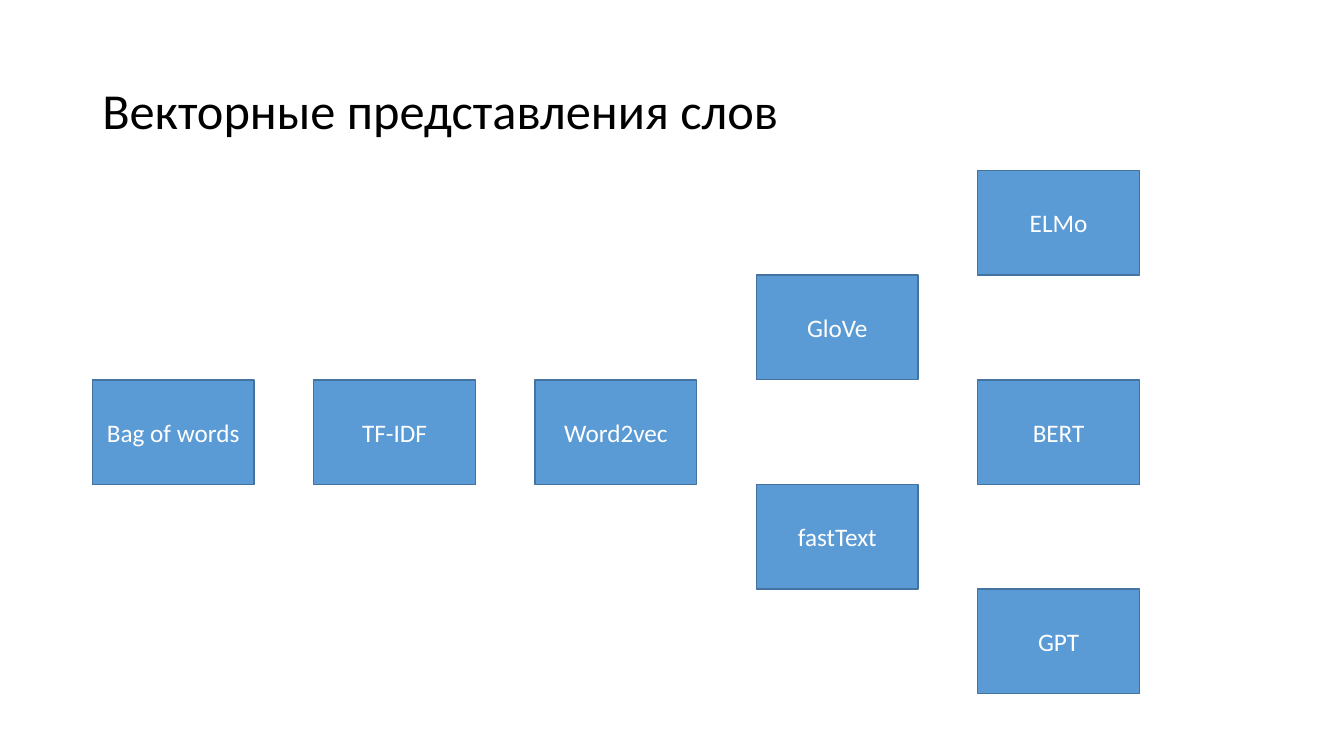
from dataclasses import dataclass

from pptx import Presentation
from pptx.dml.color import RGBColor
from pptx.enum.shapes import MSO_SHAPE
from pptx.enum.text import MSO_ANCHOR, PP_ALIGN
from pptx.shapes.autoshape import Shape
from pptx.slide import Slide
from pptx.util import Pt

RECTANGLE = MSO_SHAPE.RECTANGLE
MIDDLE = MSO_ANCHOR.MIDDLE
LEFT = PP_ALIGN.LEFT
CENTER = PP_ALIGN.CENTER

BLACK = RGBColor(0x00, 0x00, 0x00)
WHITE = RGBColor(0xFF, 0xFF, 0xFF)
BLUE = RGBColor(0x5B, 0x9B, 0xD5)
DARK_BLUE = RGBColor(0x43, 0x73, 0x9E)

FONT = "Calibri"
GRID_LEFT = 66
GRID_TOP = 121.8
COLUMN_STEP = 158.1
ROW_STEP = 74.75
BOX_WIDTH = 115.5


@dataclass(frozen=True)
class Method:
    name: str
    column: int
    row: int


METHODS = (
    Method("Bag of words", 0, 2),
    Method("TF-IDF", 1, 2),
    Method("Word2vec", 2, 2),
    Method("GloVe", 3, 1),
    Method("fastText", 3, 3),
    Method("BERT", 4, 2),
    Method("ELMo", 4, 0),
    Method("GPT", 4, 4),
)


def write_text(
    shape: Shape,
    text: str,
    *,
    size: float,
    color: RGBColor,
    alignment: PP_ALIGN,
    line_spacing: float = 1.0,
) -> None:
    frame = shape.text_frame
    frame.word_wrap = True
    frame.vertical_anchor = MIDDLE
    paragraph = frame.paragraphs[0]
    paragraph.alignment = alignment
    paragraph.line_spacing = line_spacing
    run = paragraph.add_run()
    run.text = text
    run.font.name = FONT
    run.font.size = Pt(size)
    run.font.color.rgb = color


def add_title(slide: Slide, text: str) -> None:
    title = slide.shapes.add_textbox(Pt(GRID_LEFT), Pt(28.8), Pt(828), Pt(104.4))
    write_text(
        title, text, size=36, color=BLACK, alignment=LEFT, line_spacing=0.9
    )


def add_method(slide: Slide, method: Method) -> None:
    box = slide.shapes.add_shape(
        RECTANGLE,
        Pt(GRID_LEFT + method.column * COLUMN_STEP),
        Pt(GRID_TOP + method.row * ROW_STEP),
        Pt(BOX_WIDTH),
        Pt(ROW_STEP),
    )
    box.shadow.inherit = False
    box.fill.solid()
    box.fill.fore_color.rgb = BLUE
    box.line.color.rgb = DARK_BLUE
    box.line.width = Pt(1)
    write_text(box, method.name, size=18, color=WHITE, alignment=CENTER)


def main() -> None:
    presentation = Presentation()
    presentation.slide_width = Pt(960)
    presentation.slide_height = Pt(540)
    slide = presentation.slides.add_slide(presentation.slide_layouts[6])
    add_title(slide, "Векторные представления слов")
    for method in METHODS:
        add_method(slide, method)
    presentation.save("out.pptx")


if __name__ == "__main__":
    main()
